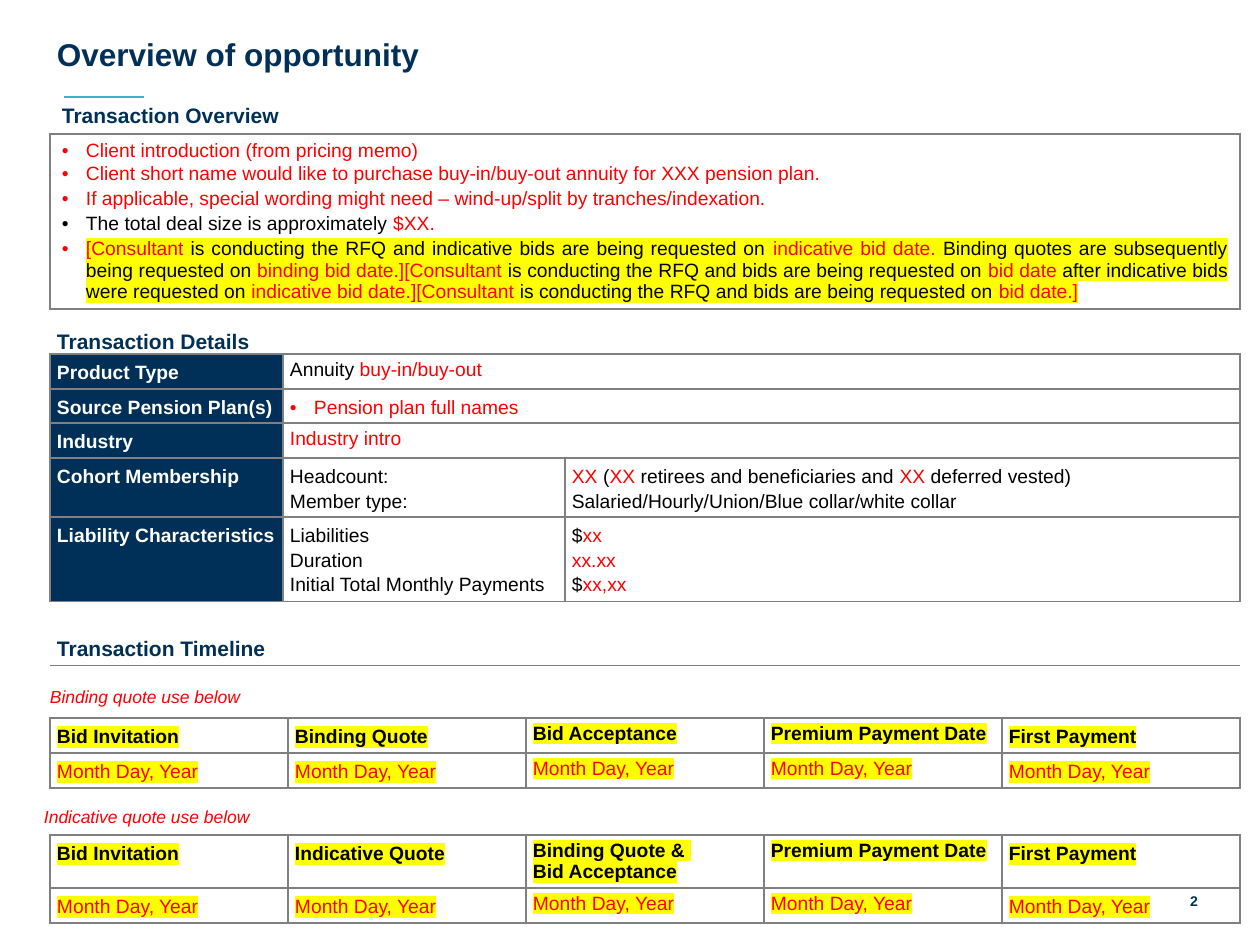
import copy
from dataclasses import dataclass

import lxml.etree
import pptx
import pptx.dml.color
import pptx.enum.shapes
import pptx.enum.text
import pptx.oxml.ns
import pptx.util

EMU_PER_PX = 914400 / 126
ALIGN = pptx.enum.text.PP_ALIGN
ANCHOR = pptx.enum.text.MSO_ANCHOR
qn = pptx.oxml.ns.qn


@dataclass(frozen=True)
class Theme:
    font: str = "Arial"
    navy: str = "003057"
    red: str = "FF0000"
    black: str = "000000"
    white: str = "FFFFFF"
    yellow: str = "FFFF00"
    grey: str = "808080"
    teal: str = "3EB1C8"
    title: int = 18
    heading: int = 12
    body: int = 11
    note: int = 10
    number: int = 8


T = Theme()


def px(n):
    return pptx.util.Emu(round(n * EMU_PER_PX))


def rgb(value):
    return pptx.dml.color.RGBColor.from_string(value)


def write(tf, text, size=T.body, color=T.black, bold=False, italic=False, highlight=None,
          align=None, line=None, gap=None, bullet=False):
    """Add one paragraph per line; {braces} mark red words and \\v breaks a line."""
    for content in text.split("\n"):
        p = tf.paragraphs[0]
        if p.runs:
            p = tf.add_paragraph()
        p.alignment, p.line_spacing = align, line
        if gap is not None:
            p.space_before = p.space_after = pptx.util.Pt(gap)
        if bullet:
            pPr = p._p.get_or_add_pPr()
            pPr.set("marL", str(px(24)))
            pPr.set("indent", str(-px(24)))
            lxml.etree.SubElement(pPr, qn("a:buFont"), typeface=T.font)
            lxml.etree.SubElement(pPr, qn("a:buChar"), char="•")
        for i, part in enumerate(content.replace("}", "{").split("{")):
            for j, piece in enumerate(part.split("\v")):
                if j:
                    p.add_line_break()
                    p._p[-1].append(copy.deepcopy(r._r.rPr))
                if not piece:
                    continue
                r = p.add_run()
                r.text = piece
                r.font.name, r.font.size = T.font, pptx.util.Pt(size)
                r.font.bold, r.font.italic = bold, italic
                r.font.color.rgb = rgb(T.red if i % 2 else color)
                if highlight:
                    mark = lxml.etree.Element(qn("a:highlight"))
                    lxml.etree.SubElement(mark, qn("a:srgbClr"), val=highlight)
                    r._r.rPr.find(qn("a:solidFill")).addnext(mark)


def set_frame(tf, insets, anchor):
    tf.word_wrap = True
    tf.vertical_anchor = anchor
    tf.margin_left, tf.margin_top, tf.margin_right, tf.margin_bottom = map(px, insets)


def add_text(s, box, text, insets=(13, 6, 13, 6), anchor=ANCHOR.TOP, **fmt):
    tf = s.shapes.add_textbox(*map(px, box)).text_frame
    set_frame(tf, insets, anchor)
    write(tf, text, **fmt)


def style_cell(cell, sides="LRTB", fill=None, insets=(7, 5, 7, 0), anchor=ANCHOR.TOP):
    cell.margin_left, cell.margin_top, cell.margin_right, cell.margin_bottom = map(px, insets)
    cell.vertical_anchor = anchor
    if fill:
        cell.fill.solid()
        cell.fill.fore_color.rgb = rgb(fill)
    else:
        cell.fill.background()
    tcPr = cell._tc.get_or_add_tcPr()
    for i, side in enumerate("LRTB"):
        ln = lxml.etree.Element(qn("a:ln" + side), w=str(pptx.util.Pt(1)))
        if side in sides:
            solid = lxml.etree.SubElement(ln, qn("a:solidFill"))
            lxml.etree.SubElement(solid, qn("a:srgbClr"), val=T.grey)
        else:
            lxml.etree.SubElement(ln, qn("a:noFill"))
        tcPr.insert(i, ln)


def add_table(s, left, top, cols, rows):
    frame = s.shapes.add_table(len(rows), len(cols), px(left), px(top), px(sum(cols)), px(sum(rows)))
    table = frame.table
    table.first_row = table.horz_banding = False
    for col, width in zip(table.columns, cols):
        col.width = px(width)
    for row, height in zip(table.rows, rows):
        row.height = px(height)
    return table


def add_header(s, left, top, width, height):
    # Title with a short accent rule below
    title = s.shapes.title
    title.left, title.top, title.width, title.height = map(px, (left, top, width, height))
    tf = title.text_frame
    tf.auto_size = pptx.enum.text.MSO_AUTO_SIZE.NONE
    set_frame(tf, (13, 6, 13, 6), ANCHOR.BOTTOM)
    write(tf, "Overview of opportunity", size=T.title, color=T.navy, bold=True, align=ALIGN.LEFT)
    y = px(top + 67)
    rule = s.shapes.add_connector(pptx.enum.shapes.MSO_CONNECTOR.STRAIGHT,
                                  px(left + 20), y, px(left + 100), y)
    rule.line.color.rgb = rgb(T.teal)
    rule.line.width = pptx.util.Pt(1)
    lxml.etree.SubElement(rule._element.spPr, qn("a:effectLst"))


OVERVIEW = """{Client short name would like to purchase buy-in/buy-out annuity for XXX pension plan.}
{If applicable, special wording might need – wind-up/split by tranches/indexation.}
The total deal size is approximately {$XX.}"""
BIDS = ("{[Consultant} is conducting the RFQ and indicative bids are being requested on "
        "{indicative bid date. }Binding quotes are subsequently being requested on"
        "{ binding bid date.][Consultant} is conducting the RFQ and bids are being requested on "
        "{bid date }after indicative bids were requested on {indicative bid date.][Consultant}"
        " is conducting the RFQ and bids are being requested on {bid date.]}")
# Label, then each value with its line spacing and bullet
DETAILS = [
    ("Product Type", [("Annuity {buy-in/buy-out}", None, False)]),
    ("Source Pension Plan(s)", [("{Pension plan full names}", 1.15, True)]),
    ("Industry", [("{Industry intro}", None, False)]),
    ("Cohort Membership", [
        ("Headcount:\nMember type:", 1.15, False),
        ("{XX} ({XX} retirees and beneficiaries and {XX} deferred vested)\n"
         "Salaried/Hourly/Union/Blue collar/white collar", 1.15, False)]),
    ("Liability Characteristics", [
        ("Liabilities\nDuration\nInitial Total Monthly Payments", 1.15, False),
        ("${xx}\n{xx.xx}\n${xx,xx}", 1.15, False)]),
]


def add_transaction(s, left, top, cols):
    table = add_table(s, left, top, cols, [40, 175, 45, 35, 34, 35, 59, 84, 64])

    # Section headings and the overview box run across all columns
    headings = [(0, "Transaction Overview", "B", (12, 6, 12, 6), None, 1, ALIGN.JUSTIFY),
                (2, "Transaction Details", "TB", (7, 0, 7, 0), 1.15, None, None),
                (8, "Transaction Timeline", "TB", (7, 5, 7, 5), 1.15, None, None)]
    for row, text, sides, insets, line, gap, align in headings:
        for col in range(3):
            style_cell(table.cell(row, col), sides, insets=insets, anchor=ANCHOR.BOTTOM)
        table.cell(row, 0).merge(table.cell(row, 2))
        write(table.cell(row, 0).text_frame, text, size=T.heading, color=T.navy, bold=True,
              line=line, gap=gap, align=align)

    for col in range(3):
        style_cell(table.cell(1, col), insets=(12, 0, 12, 0), anchor=ANCHOR.MIDDLE)
    table.cell(1, 0).merge(table.cell(1, 2))
    tf = table.cell(1, 0).text_frame
    write(tf, "{Client introduction (from pricing memo)}", bullet=True)
    write(tf, OVERVIEW, bullet=True, align=ALIGN.JUSTIFY, gap=1)
    write(tf, BIDS, bullet=True, align=ALIGN.JUSTIFY, gap=1, highlight=T.yellow)

    # Labelled details
    for row, (label, values) in enumerate(DETAILS, start=3):
        for col in range(3):
            style_cell(table.cell(row, col), fill=None if col else T.navy)
        if len(values) == 1:
            table.cell(row, 1).merge(table.cell(row, 2))
        write(table.cell(row, 0).text_frame, label, color=T.white, bold=True, line=1.15)
        for col, (text, line, bullet) in enumerate(values, start=1):
            write(table.cell(row, col).text_frame, text, line=line, bullet=bullet)


def add_timeline(s, left, top, width, steps, header_height):
    table = add_table(s, left, top, [width // len(steps)] * len(steps), [header_height, 35])
    for col, step in enumerate(steps):
        line = None if col in (2, 3) else 1.15
        for row, text in enumerate((step, "{Month Day, Year}")):
            cell = table.cell(row, col)
            style_cell(cell)
            write(cell.text_frame, text, bold=row == 0, highlight=T.yellow, line=line)


def main():
    prs = pptx.Presentation()
    prs.slide_width, prs.slide_height = px(1260), px(945)
    s = prs.slides.add_slide(prs.slide_layouts[5])
    add_header(s, 44, 30, 1159, 49)
    add_text(s, (1143, 876, 68, 50), "2", size=T.number, color=T.navy, bold=True,
             align=ALIGN.RIGHT, anchor=ANCHOR.MIDDLE)
    add_transaction(s, 50, 94, [233, 282, 675])

    # Two alternative timelines, each with its note
    timelines = [
        ("Binding", 50, 680, 718, "Bid Acceptance", 35),
        ("Indicative", 44, 800, 835, "Binding Quote & \vBid Acceptance", 53),
    ]
    for kind, note_left, note_top, top, acceptance, header_height in timelines:
        add_text(s, (note_left, note_top, 1194, 72), f"{kind} quote use below",
                 insets=(0, 6, 13, 6), size=T.note, color=T.red, italic=True)
        steps = ["Bid Invitation", f"{kind} Quote", acceptance, "Premium Payment Date", "First Payment"]
        add_timeline(s, 50, top, 1190, steps, header_height)
    prs.save("out.pptx")


if __name__ == "__main__":
    main()
